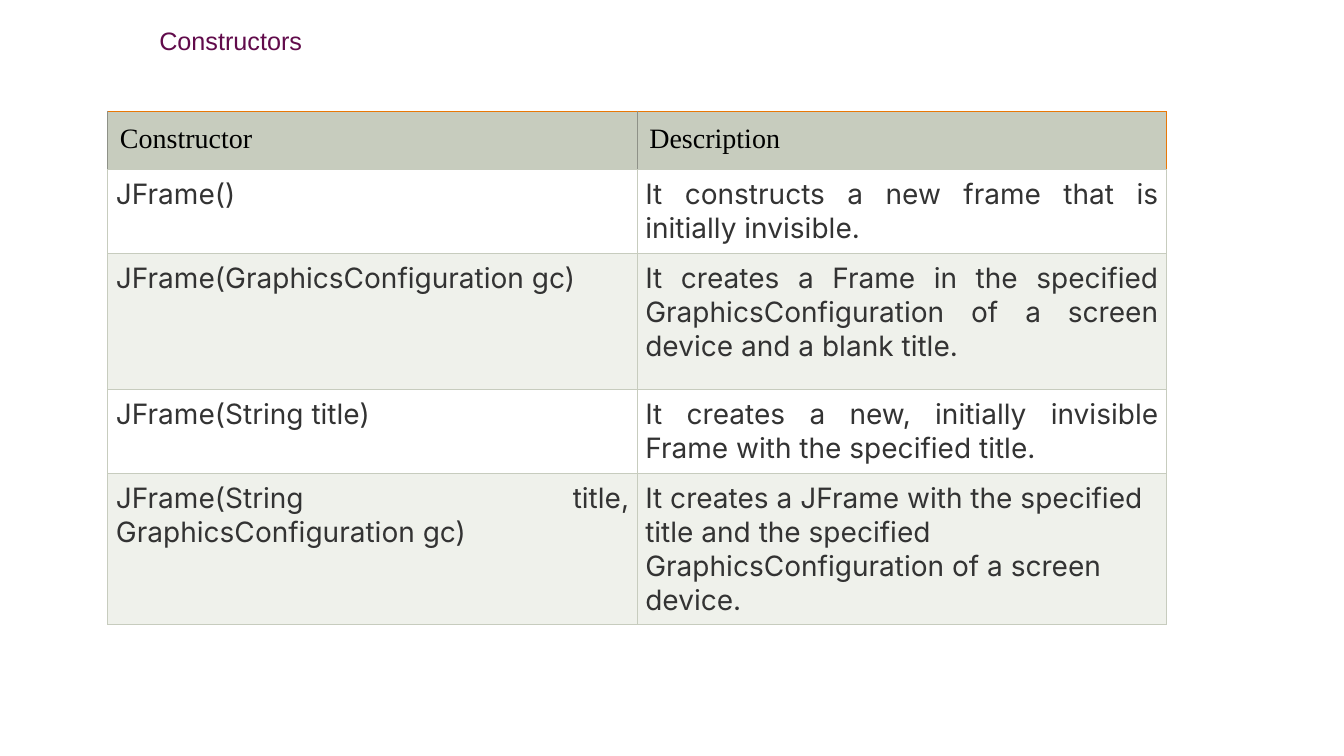
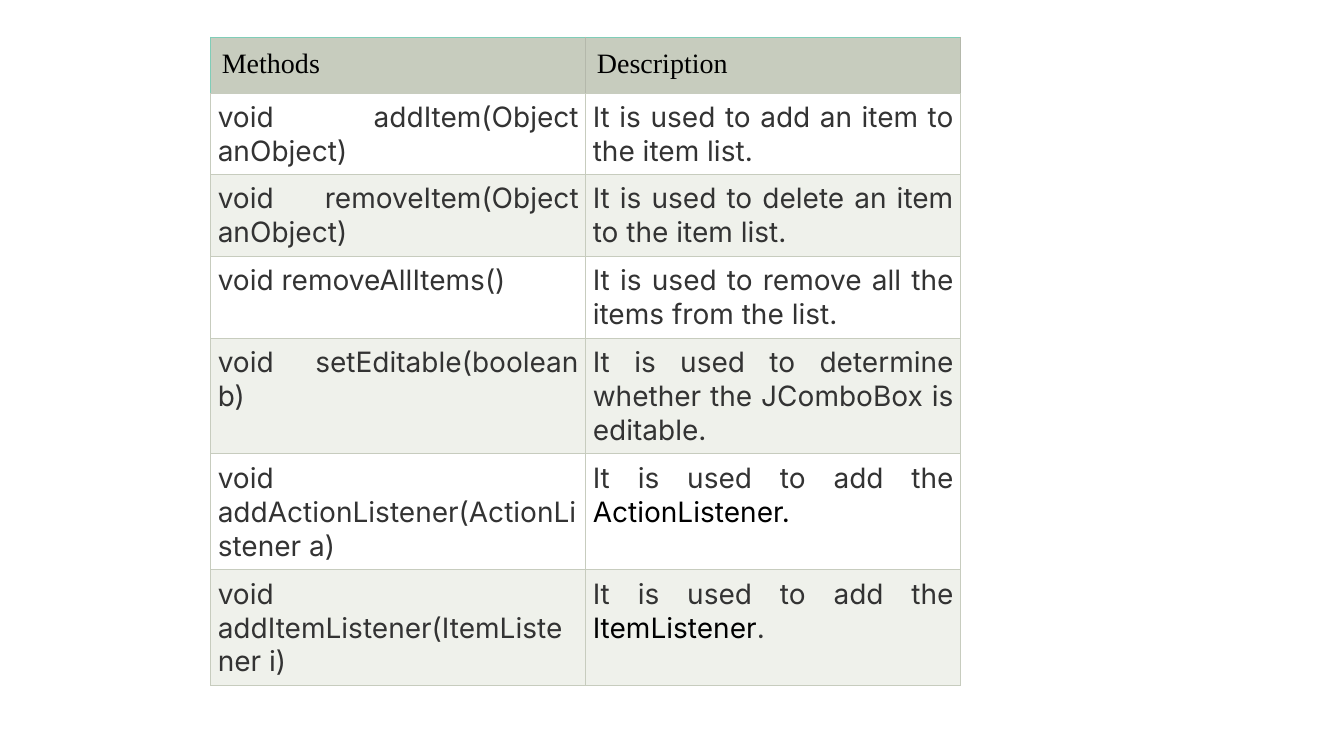
import pptx
import pptx.util
import pptx.dml.color
import pptx.enum.text
import pptx.oxml
import pptx.oxml.ns

Inches = pptx.util.Inches
ALIGN = pptx.enum.text.PP_ALIGN

INK, BLACK, SAGE = "333333", "000000", "C7CCBE"
BANDS = ("FFFFFF", "EFF1EB")
HEAD = {"name": "Times New Roman", "size": pptx.util.Pt(20), "bold": False}
BODY = {"name": "Inter", "size": pptx.util.Pt(20), "bold": False}
TITLE = {"name": "Arial", "size": pptx.util.Pt(18), "bold": False}
PLUM = "610B4B"

SLIDES = [
    {
        "title": "Constructors",
        "place": (1.07, 1.11),
        "width": 5.25,
        "heights": (0.57, 0.83, 1.35, 0.83, 1.5),
        "pads": (0.12, 0.08),
        "edges": {"left": "8E9187", "mid": "8E9187", "right": "E87807", "top": "E87807"},
        "ragged": {(4, 1)},
        "rows": [
            ("Constructor", "Description"),
            ("JFrame()", "It constructs a new frame that is initially invisible."),
            ("JFrame(GraphicsConfiguration gc)",
             "It creates a Frame in the specified GraphicsConfiguration of a screen device and a blank title."),
            ("JFrame(String title)",
             "It creates a new, initially invisible Frame with the specified title."),
            ("JFrame(String title, GraphicsConfiguration gc)",
             "It creates a JFrame with the specified title and the specified "
             "GraphicsConfiguration of a screen device."),
        ],
    },
    {
        "title": None,
        "place": (2.09, 0.37),
        "width": 3.72,
        "heights": (0.52, 0.81, 0.81, 0.81, 1.15, 1.15, 1.15),
        "pads": (0.11, 0.07),
        "edges": {"left": "80CDB8", "mid": "B4B8AB", "right": "B4B8AB", "top": "80CDB8"},
        "ragged": set(),
        "rows": [
            ("Methods", "Description"),
            ("void addItem(Object anObject)", "It is used to add an item to the item list."),
            ("void removeItem(Object anObject)", "It is used to delete an item to the item list."),
            ("void removeAllItems()", "It is used to remove all the items from the list."),
            ("void setEditable(boolean b)",
             "It is used to determine whether the JComboBox is editable."),
            ("void addActionListener(ActionListener a)",
             [("It is used to add the ", INK), ("ActionListener.", BLACK)]),
            ("void addItemListener(ItemListener i)",
             [("It is used to add the ", INK), ("ItemListener", BLACK), (".", INK)]),
        ],
    },
]


def color(code):
    return pptx.dml.color.RGBColor.from_string(code)


def style(font, values, code):
    for key, value in values.items():
        setattr(font, key, value)
    font.color.rgb = color(code)


def border(cell, codes):
    props = cell._tc.get_or_add_tcPr()
    for spot, (side, code) in enumerate(zip("LRTB", codes)):
        props.insert(spot, pptx.oxml.parse_xml(
            f'<a:ln{side} {pptx.oxml.ns.nsdecls("a")} w="9525"><a:solidFill>'
            f'<a:srgbClr val="{code}"/></a:solidFill></a:ln{side}>'))


def add_title(slide, text):
    title = slide.shapes.title
    place = {"left": 1.48, "top": 0.2, "width": 1.63, "height": 0.4}
    for key, value in place.items():
        setattr(title, key, Inches(value))
    frame = title.text_frame
    frame.text = text
    frame.word_wrap = False
    frame.auto_size = pptx.enum.text.MSO_AUTO_SIZE.SHAPE_TO_FIT_TEXT
    frame.vertical_anchor = pptx.enum.text.MSO_ANCHOR.TOP
    line = frame.paragraphs[0]
    line.alignment = ALIGN.JUSTIFY
    style(line.runs[0].font, TITLE, PLUM)


def fill_cell(cell, content, data, row, col):
    head = row == 0
    pad = Inches(data["pads"][0 if head else 1])
    for side in ("left", "right", "top", "bottom"):
        setattr(cell, "margin_" + side, pad)
    cell.fill.solid()
    cell.fill.fore_color.rgb = color(SAGE if head else BANDS[(row - 1) % 2])
    edges = data["edges"]
    sides = ("left", "mid", "right")
    border(cell, (edges[sides[col]], edges[sides[col + 1]], edges["top"], SAGE)
           if head else [SAGE] * 4)
    line = cell.text_frame.paragraphs[0]
    plain = head or (row, col) in data["ragged"]
    line.alignment = ALIGN.LEFT if plain else ALIGN.JUSTIFY
    parts = [(content, BLACK if head else INK)] if isinstance(content, str) else content
    for text, code in parts:
        run = line.add_run()
        run.text = text
        style(run.font, HEAD if head else BODY, code)


def add_grid(slide, data):
    rows, tall, width = data["rows"], data["heights"], data["width"]
    left, top = data["place"]
    table = slide.shapes.add_table(
        len(rows), 2, Inches(left), Inches(top), Inches(2 * width), Inches(sum(tall))).table
    table.first_row = table.horz_banding = False
    for part in table.columns:
        part.width = Inches(width)
    for row, texts in enumerate(rows):
        table.rows[row].height = Inches(tall[row])
        for col, text in enumerate(texts):
            fill_cell(table.cell(row, col), text, data, row, col)


def main():
    deck = pptx.Presentation()
    deck.slide_width, deck.slide_height = Inches(13.33), Inches(7.5)
    for data in SLIDES:
        layout = "Title Only" if data["title"] else "Blank"
        slide = deck.slides.add_slide(deck.slide_layouts.get_by_name(layout))
        if data["title"]:
            add_title(slide, data["title"])
        add_grid(slide, data)
    deck.save("out.pptx")


if __name__ == "__main__":
    main()
